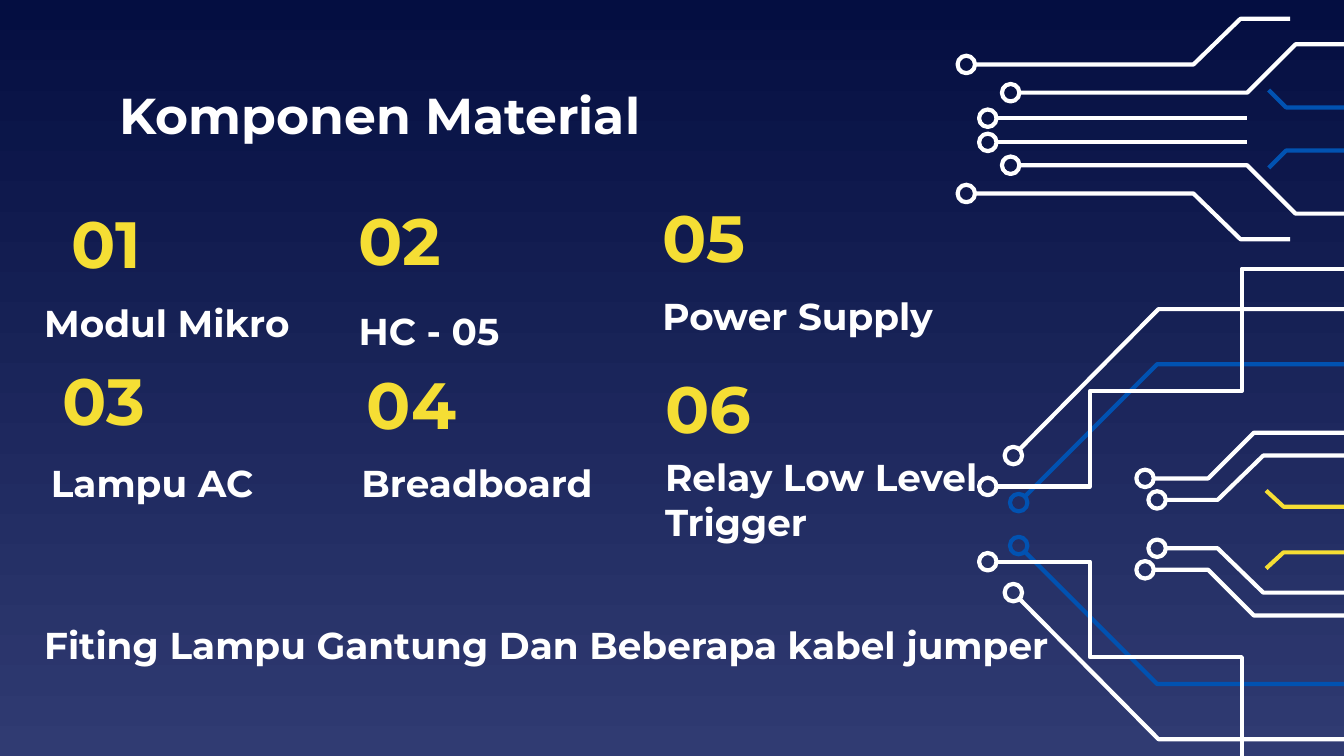
from math import hypot

from pptx import Presentation
from pptx.dml.color import RGBColor
from pptx.enum.shapes import MSO_SHAPE
from pptx.enum.text import MSO_ANCHOR, MSO_AUTO_SIZE
from pptx.util import Inches, Pt

OVAL = MSO_SHAPE.OVAL
MIDDLE = MSO_ANCHOR.MIDDLE
GROW = MSO_AUTO_SIZE.SHAPE_TO_FIT_TEXT

WHITE = RGBColor(0xFF, 0xFF, 0xFF)
YELLOW = RGBColor(0xF5, 0xDE, 0x34)
BLUE = RGBColor(0x01, 0x52, 0xB1)
NAVY = RGBColor(0x04, 0x0E, 0x41)
SLATE = RGBColor(0x30, 0x3B, 0x72)

FONT = "Montserrat"
WIDE = 10
HIGH = WIDE * 9 / 16
DOT = 0.13  # ring diameter
STROKE = 2.25

# Each circuit is mirrored about its axis: (axis, traces).
# A trace is (colour, starts with a ring, points).
CIRCUITS = [
    (3.9, [
        (WHITE, True, [(8.61, 3.72), (9.06, 3.72), (9.4, 3.39), (WIDE, 3.39)]),
        (WHITE, True, [(8.52, 3.56), (8.99, 3.56), (9.33, 3.22), (WIDE, 3.22)]),
        (BLUE, True, [(7.58, 3.74), (8.61, 2.71), (WIDE, 2.71)]),
        (WHITE, True, [(7.54, 3.39), (8.62, 2.3), (WIDE, 2.3)]),
    ]),
    (3.94, [
        (YELLOW, False, [(9.42, 3.65), (9.55, 3.77), (WIDE, 3.77)]),
    ]),
    (0.96, [
        (WHITE, True, [(7.19, 0.48), (8.88, 0.48), (9.23, 0.14), (9.6, 0.14)]),
        (WHITE, True, [(7.52, 0.69), (9.28, 0.69), (9.64, 0.33), (WIDE, 0.33)]),
        (BLUE, False, [(9.44, 0.67), (9.57, 0.8), (WIDE, 0.8)]),
    ]),
    (0.97, [
        (WHITE, True, [(7.35, 0.88), (9.28, 0.88)]),
    ]),
]
# The stepped pair: the lower one leaves by the bottom edge.
STEPS = [
    (WHITE, True, [(7.35, 3.62), (8.11, 3.62), (8.11, 2.91),
                   (9.24, 2.91), (9.24, 2), (WIDE, 2)]),
    (WHITE, True, [(7.35, 4.18), (8.11, 4.18), (8.11, 4.89),
                   (9.24, 4.89), (9.24, HIGH)]),
]

# Text styles: size, colour
HEAD, NUM, ITEM = (27, WHITE), (35, YELLOW), (20, WHITE)
FIXED = [
    ("Komponen Material", HEAD, (0.79, 0.59, 5.87, 0.52)),
    ("01", NUM, (0.43, 1.51, 0.99, 0.58)),
    ("Modul Mikro", ITEM, (0.23, 2.14, 2.41, 0.52)),
    ("02", NUM, (2.57, 1.49, 0.99, 0.58)),
    ("HC - 05", ITEM, (2.57, 2.2, 3, 0.52)),
    ("03", NUM, (0.37, 2.68, 0.99, 0.58)),
    ("Lampu AC", ITEM, (0.28, 3.33, 3.14, 0.52)),
    ("04", NUM, (2.63, 2.71, 0.99, 0.58)),
    ("Breadboard", ITEM, (2.59, 3.33, 2.41, 0.52)),
]
LOOSE = [
    ("05", NUM, (4.83, 1.42, 0.83, 0.69)),
    ("Power Supply", ITEM, (4.83, 2.13, 2.24, 0.44)),
    ("06", NUM, (4.85, 2.69, 0.85, 0.69)),
    ("Relay Low Level\vTrigger", ITEM, (4.85, 3.33, 2.64, 0.77)),
    ("Fiting Lampu Gantung Dan Beberapa kabel jumper", ITEM,
     (0.23, 4.58, 7.75, 0.44)),
]


def outline(shape, color):
    shape.shadow.inherit = False
    shape.fill.background()
    shape.line.color.rgb = color
    shape.line.width = Pt(STROKE)


def add_trace(shapes, color, ring, points):
    """Draw an open line, starting at the rim of its ring if it has one."""
    (x, y), (x2, y2) = points[:2]
    if ring:
        dot = shapes.add_shape(OVAL, Inches(x - DOT / 2), Inches(y - DOT / 2),
                               Inches(DOT), Inches(DOT))
        outline(dot, color)
        part = DOT / 2 / hypot(x2 - x, y2 - y)
        x, y = x + (x2 - x) * part, y + (y2 - y) * part
    path = shapes.build_freeform(Inches(x), Inches(y))
    path.add_line_segments([(Inches(a), Inches(b)) for a, b in points[1:]],
                           close=False)
    outline(path.convert_to_shape(), color)


def add_text(shapes, text, style, place, wrap):
    frame = shapes.add_textbox(*map(Inches, place)).text_frame
    frame.word_wrap = wrap
    if wrap:
        frame.vertical_anchor = MIDDLE
    else:
        frame.auto_size = GROW
    frame.text = text
    font = frame.paragraphs[0].font
    size, color = style
    font.name, font.size, font.bold = FONT, Pt(size), True
    font.color.rgb = color


def main():
    deck = Presentation()
    deck.slide_width, deck.slide_height = Inches(WIDE), Inches(HIGH)
    slide = deck.slides.add_slide(deck.slide_layouts[6])
    shapes = slide.shapes

    fill = slide.background.fill
    fill.gradient()
    fill.gradient_angle = 270
    for stop, color in zip(fill.gradient_stops, (NAVY, SLATE)):
        stop.color.rgb = color

    for axis, traces in CIRCUITS:
        for color, ring, points in traces:
            add_trace(shapes, color, ring, points)
            add_trace(shapes, color, ring,
                      [(x, 2 * axis - y) for x, y in points])
    for step in STEPS:
        add_trace(shapes, *step)

    for item in FIXED:
        add_text(shapes, *item, wrap=True)
    for item in LOOSE:
        add_text(shapes, *item, wrap=False)

    deck.save("out.pptx")


if __name__ == "__main__":
    main()
